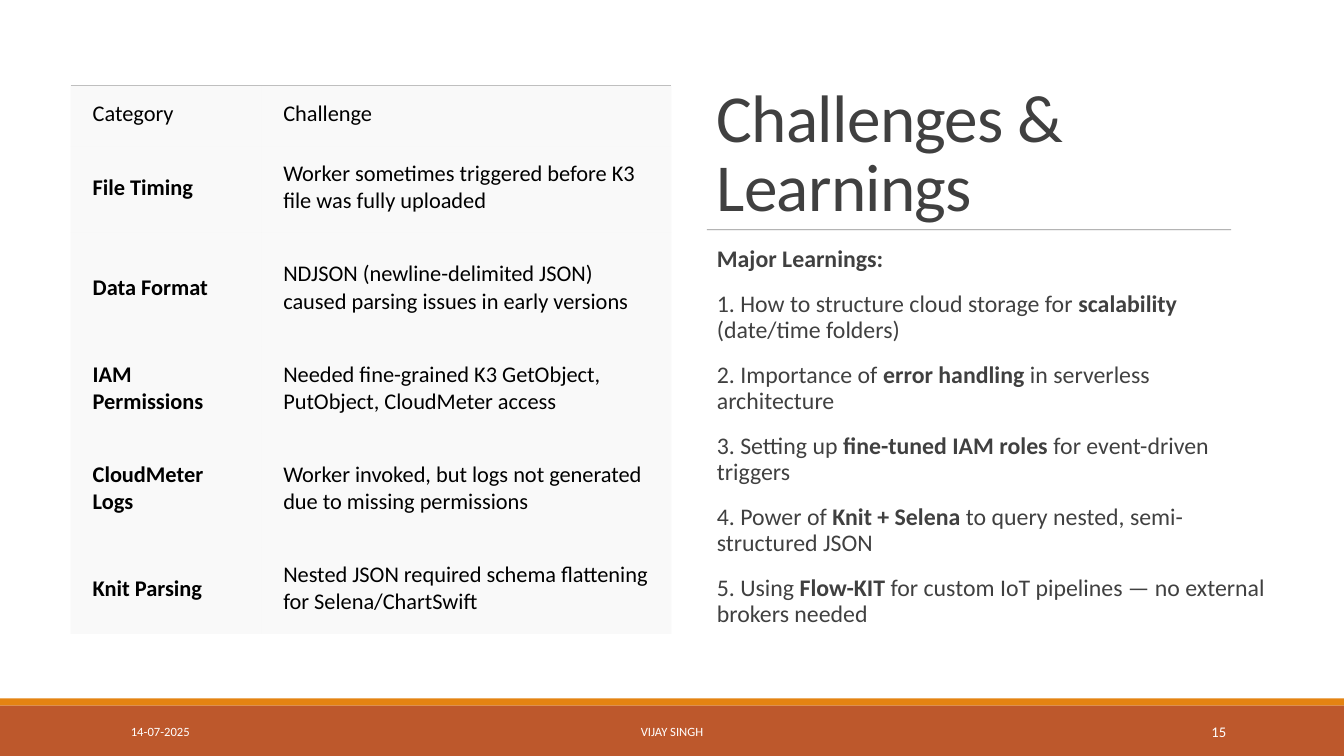
from lxml.etree import SubElement
from pptx import Presentation
from pptx.dml.color import RGBColor
from pptx.enum.shapes import MSO_CONNECTOR as CONNECTOR, MSO_SHAPE as SHAPE
from pptx.enum.text import MSO_ANCHOR as ANCHOR, PP_ALIGN as ALIGN
from pptx.oxml import parse_xml
from pptx.oxml.ns import nsdecls, qn
from pptx.util import Inches, Pt

TITLE = "Challenges & Learnings"
CHALLENGES = [
    ("Category", "Challenge"),
    ("File Timing", "Worker sometimes triggered before K3 file was fully uploaded"),
    ("Data Format", "NDJSON (newline-delimited JSON) caused parsing issues in early versions"),
    ("IAM Permissions", "Needed fine-grained K3 GetObject, PutObject, CloudMeter access"),
    ("CloudMeter Logs", "Worker invoked, but logs not generated due to missing permissions"),
    ("Knit Parsing", "Nested JSON required schema flattening for Selena/ChartSwift"),
]
# Each paragraph is a list of pieces; every second piece is bold.
LEARNINGS = [
    ["", "Major Learnings:"],
    ["1. How to structure cloud storage for ", "scalability", " (date/time folders)"],
    ["2. Importance of ", "error handling", " in serverless architecture"],
    ["3. Setting up ", "fine-tuned IAM roles", " for event-driven triggers"],
    ["4. Power of ", "Knit + Selena", " to query nested, semi-structured JSON"],
    ["5. Using ", "Flow-KIT", " for custom IoT pipelines — no external brokers needed"],
]
THEME = {
    "font": "Calibri",
    "ink": "404040", "cell_ink": "000000", "white": "FFFFFF",
    "cell": "F2F2F2", "cell_line": "BFBFBF", "rule": "808080",
    "stripe": "E48312", "footer": "BD582C",
    "title_size": 48, "body_size": 17, "cell_size": 16,
    "footer_size": 9, "number_size": 10.5,
}
FOOTERS = [  # text, left, width, alignment, size
    ("14-07-2025", 1.2, 2.7, ALIGN.LEFT, THEME["footer_size"]),
    ("VIJAY SINGH", 4.03, 5.27, ALIGN.CENTER, THEME["footer_size"]),
    ("15", 10.83, 1.43, ALIGN.RIGHT, THEME["number_size"]),
]
SLIDE_W, SLIDE_H = 13.33, 7.5
FOOTER_H, STRIPE_H = 0.5, 0.07
RIGHT_X, RIGHT_W, RULE_Y, RULE_W = 7.01, 5.61, 2.28, 5.2
TABLE_BOX = (0.7, 0.85, 5.96, 5.45)
COL_WIDTHS = (1.89, 4.07)
HEADER_H, SHORT_H, TALL_H = 0.6, 0.86, 1.13


def color(name):
    return RGBColor.from_string(THEME[name])


def box(s, left, top, width, height, anchor=ANCHOR.TOP):
    tf = s.shapes.add_textbox(*map(Inches, (left, top, width, height))).text_frame
    tf.word_wrap = True
    tf.vertical_anchor = anchor
    return tf


def write(p, text, *, size, ink="ink", bold=False, align=ALIGN.LEFT,
          line=None, before=None, after=None, tracking=None):
    """Add one run to a paragraph and set the paragraph's format."""
    p.alignment = align
    if line:
        p.line_spacing = line
    if before is not None:
        p.space_before = Pt(before)
    if after is not None:
        p.space_after = Pt(after)
    r = p.add_run()
    r.text = text
    r.font.name, r.font.size, r.font.bold = THEME["font"], Pt(size), bold
    r.font.color.rgb = color(ink)
    if tracking:
        r.font._element.set("spc", str(round(tracking * 100)))


def set_alpha(fill_element, percent):
    rgb = next(fill_element.iter(qn("a:srgbClr")))
    SubElement(rgb, qn("a:alpha")).set("val", str(percent * 1000))


def set_borders(cell, top):
    """Clear the cell's borders, keeping a top line if asked."""
    line = f'<a:solidFill><a:srgbClr val="{THEME["cell_line"]}"/></a:solidFill>'
    tc_pr = cell._tc.get_or_add_tcPr()
    for i, side in enumerate("LRTB"):
        fill = line if top and side == "T" else "<a:noFill/>"
        tc_pr.insert(i, parse_xml(
            f'<a:ln{side} {nsdecls("a")} w="{Pt(1)}">{fill}</a:ln{side}>'))


def add_band(s, top, height, fill):
    sp = s.shapes.add_shape(SHAPE.RECTANGLE, 0, Inches(top), Inches(SLIDE_W), Inches(height))
    sp.shadow.inherit = False
    sp.fill.solid()
    sp.fill.fore_color.rgb = color(fill)
    sp.line.fill.background()


def add_footer(s):
    top = SLIDE_H - FOOTER_H
    add_band(s, top - STRIPE_H, STRIPE_H, "stripe")
    add_band(s, top, FOOTER_H, "footer")
    for text, left, width, align, size in FOOTERS:
        tf = box(s, left, top + 0.06, width, 0.4, ANCHOR.MIDDLE)
        write(tf.paragraphs[0], text, size=size, ink="white", align=align, after=6)


def add_rule(s):
    y = Inches(RULE_Y)
    rule = s.shapes.add_connector(CONNECTOR.STRAIGHT, Inches(RIGHT_X), y,
                                  Inches(RIGHT_X + RULE_W), y)
    rule.line.color.rgb = color("rule")
    rule.line.width = Pt(0.5)
    sp_pr = rule._element.spPr
    set_alpha(sp_pr, 90)
    SubElement(sp_pr, qn("a:effectLst"))


def add_learnings(s):
    tf = box(s, RIGHT_X, 2.4, RIGHT_W, 4.01)
    tf.margin_left = tf.margin_right = 0
    for i, pieces in enumerate(LEARNINGS):
        p = tf.add_paragraph() if i else tf.paragraphs[0]
        p._p.get_or_add_pPr().set("marL", str(Inches(0.1)))
        for j, text in enumerate(pieces):
            if text:
                write(p, text, size=THEME["body_size"], bold=j % 2 == 1,
                      line=0.9, before=12, after=2)


def add_challenges(s):
    table = s.shapes.add_table(len(CHALLENGES), len(COL_WIDTHS),
                               *map(Inches, TABLE_BOX)).table
    table.first_row = table.horz_banding = False
    for col, width in zip(table.columns, COL_WIDTHS):
        col.width = Inches(width)
    for i, texts in enumerate(CHALLENGES):
        height = (SHORT_H if i % 2 else TALL_H) if i else HEADER_H
        table.rows[i].height = Inches(height)
        for j, text in enumerate(texts):
            cell = table.cell(i, j)
            cell.vertical_anchor = ANCHOR.MIDDLE
            cell.margin_left, cell.margin_right = Inches(0.22), Inches(0.19)
            cell.margin_top, cell.margin_bottom = Inches(0.13), Inches(0.17)
            cell.fill.solid()
            cell.fill.fore_color.rgb = color("cell")
            set_alpha(cell._tc.tcPr, 45)
            set_borders(cell, top=i == 0)
            write(cell.text_frame.paragraphs[0], text, size=THEME["cell_size"],
                  ink="cell_ink", bold=i > 0 and j == 0)


def main():
    prs = Presentation()
    prs.slide_width, prs.slide_height = Inches(SLIDE_W), Inches(SLIDE_H)
    s = prs.slides.add_slide(prs.slide_layouts[6])
    title = box(s, RIGHT_X, 0.69, RIGHT_W, 1.59, ANCHOR.BOTTOM)
    write(title.paragraphs[0], TITLE, size=THEME["title_size"], line=0.85, tracking=-0.5)
    add_rule(s)
    add_learnings(s)
    add_footer(s)
    add_challenges(s)
    prs.save("out.pptx")


if __name__ == "__main__":
    main()
